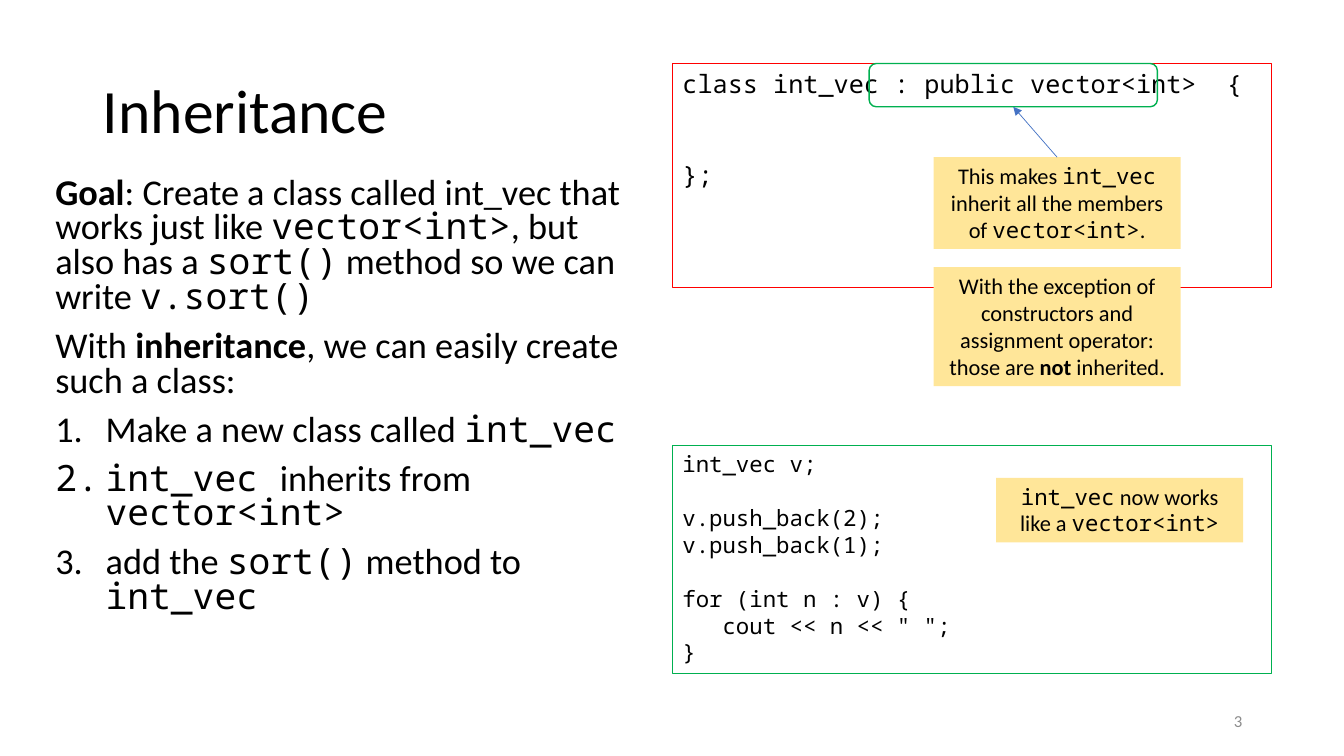
"""Build the slide on class inheritance with code samples and callouts."""
from lxml import etree
from pptx import Presentation
from pptx.dml.color import RGBColor
from pptx.enum import shapes, text
from pptx.oxml import ns
from pptx.util import Inches, Pt

SANS, MONO = "Calibri", "Noto Sans Mono"
GREEN, SAND = "00B050", "FFE699"
ALIGN = text.PP_ALIGN
ANCHOR = text.MSO_ANCHOR


def write(shape, lines, size=16, color="000000", align=ALIGN.LEFT, anchor=ANCHOR.TOP,
          code=False, spacing=None, before=0):
    """Fill a shape with lines, where `backticks` mark code and *stars* mark bold."""
    frame = shape.text_frame
    frame.word_wrap = True
    frame.auto_size = text.MSO_AUTO_SIZE.NONE
    frame.vertical_anchor = anchor
    for number, line in enumerate(lines):
        paragraph = frame.add_paragraph() if number else frame.paragraphs[0]
        paragraph.alignment = align
        paragraph.line_spacing = spacing
        paragraph.space_before = Pt(before)
        for i, part in enumerate([line] if code else line.split("`")):
            for j, words in enumerate([part] if code else part.split("*")):
                if words:
                    run = paragraph.add_run()
                    run.text = words
                    run.font.size = Pt(size)
                    run.font.name = MONO if code or i % 2 else SANS
                    run.font.bold = j % 2 == 1
                    run.font.color.rgb = RGBColor.from_string(color)
        if not line:
            paragraph._p.get_or_add_endParaRPr().set("sz", str(size * 100))
    return frame


def add_box(place, fill=None, line=None, width=0.75, kind=shapes.MSO_SHAPE.RECTANGLE):
    """Add a preset shape with a flat fill or outline."""
    box = slide.shapes.add_shape(kind, *map(Inches, place))
    box.shadow.inherit = False
    if fill:
        box.fill.solid()
        box.fill.fore_color.rgb = RGBColor.from_string(fill)
    else:
        box.fill.background()
    if line:
        box.line.color.rgb = RGBColor.from_string(line)
        box.line.width = Pt(width)
    else:
        box.line.fill.background()
    return box


deck = Presentation()
deck.slide_width, deck.slide_height = Inches(13.33), Inches(7.5)
slide = deck.slides.add_slide(deck.slide_layouts[5])

title = slide.shapes.title
title.left, title.top, title.width, title.height = map(Inches, (0.92, 0.4, 11.5, 1.45))
write(title, ["Inheritance"], size=44, anchor=ANCHOR.MIDDLE, spacing=0.9)

goal = slide.shapes.add_textbox(*map(Inches, (0.45, 1.71, 5.9, 4.76)))
goal_lines = write(goal, [
    "*Goal*: Create a class called int_vec that works just like `vector<int>`, "
    "but also has a `sort()` method so we can write `v.sort()`",
    "With *inheritance*, we can easily create such a class:",
    "Make a new class called `int_vec`",
    "`int_vec `inherits from `vector<int>`",
    "add the `sort()` method to `int_vec`",
], size=25.9, spacing=0.8, before=10)
for step in goal_lines.paragraphs[2:]:
    properties = step._p.get_or_add_pPr()
    properties.set("marL", str(Inches(0.5)))
    properties.set("indent", str(-Inches(0.5)))
    etree.SubElement(properties, ns.qn("a:buAutoNum"), type="arabicPeriod")

page_number = slide.shapes.add_textbox(*map(Inches, (9.42, 6.95, 3, 0.4)))
write(page_number, ["3"], size=12, color="8C8C8C", align=ALIGN.RIGHT, anchor=ANCHOR.MIDDLE)

class_code = add_box((6.67, 0.63, 5.94, 2.22), line="FF0000")
class_lines = write(class_code, ["class int_vec : public vector<int>  {", "  ", "};"],
                    size=18, code=True)
class_lines.paragraphs[0].add_line_break()

usage_code = add_box((6.67, 4.42, 5.94, 2.26), line=GREEN)
write(usage_code, [
    "int_vec v;",
    "",
    "v.push_back(2);",
    "v.push_back(1);",
    "",
    "for (int n : v) {",
    '   cout << n << " ";',
    "}",
], code=True)

base_class_frame = add_box((8.62, 0.63, 2.86, 0.43), line=GREEN, width=1,
                           kind=shapes.MSO_SHAPE.ROUNDED_RECTANGLE)

callouts = [
    ((9.26, 1.56, 2.45, 0.91),
     "This makes `int_vec `inherit all the members of `vector<int>`."),
    ((9.88, 4.74, 2.45, 0.64), "`int_vec` now works like a `vector<int>`"),
    ((9.26, 2.65, 2.45, 1.18),
     "With the exception of constructors and assignment operator: "
     "those are *not* inherited."),
]
notes = []
for place, words in callouts:
    notes.append(add_box(place, fill=SAND))
    write(notes[-1], [words], align=ALIGN.CENTER)

pointer = slide.shapes.add_connector(shapes.MSO_CONNECTOR.STRAIGHT, 0, 0, 0, 0)
pointer.begin_connect(notes[0], 0)
pointer.end_connect(base_class_frame, 2)
pointer.line.color.rgb = RGBColor.from_string("4472C4")
pointer.line.width = Pt(0.5)
etree.SubElement(pointer.line._get_or_add_ln(), ns.qn("a:tailEnd"), type="triangle")
etree.SubElement(pointer._element.spPr, ns.qn("a:effectLst"))

deck.save("out.pptx")
